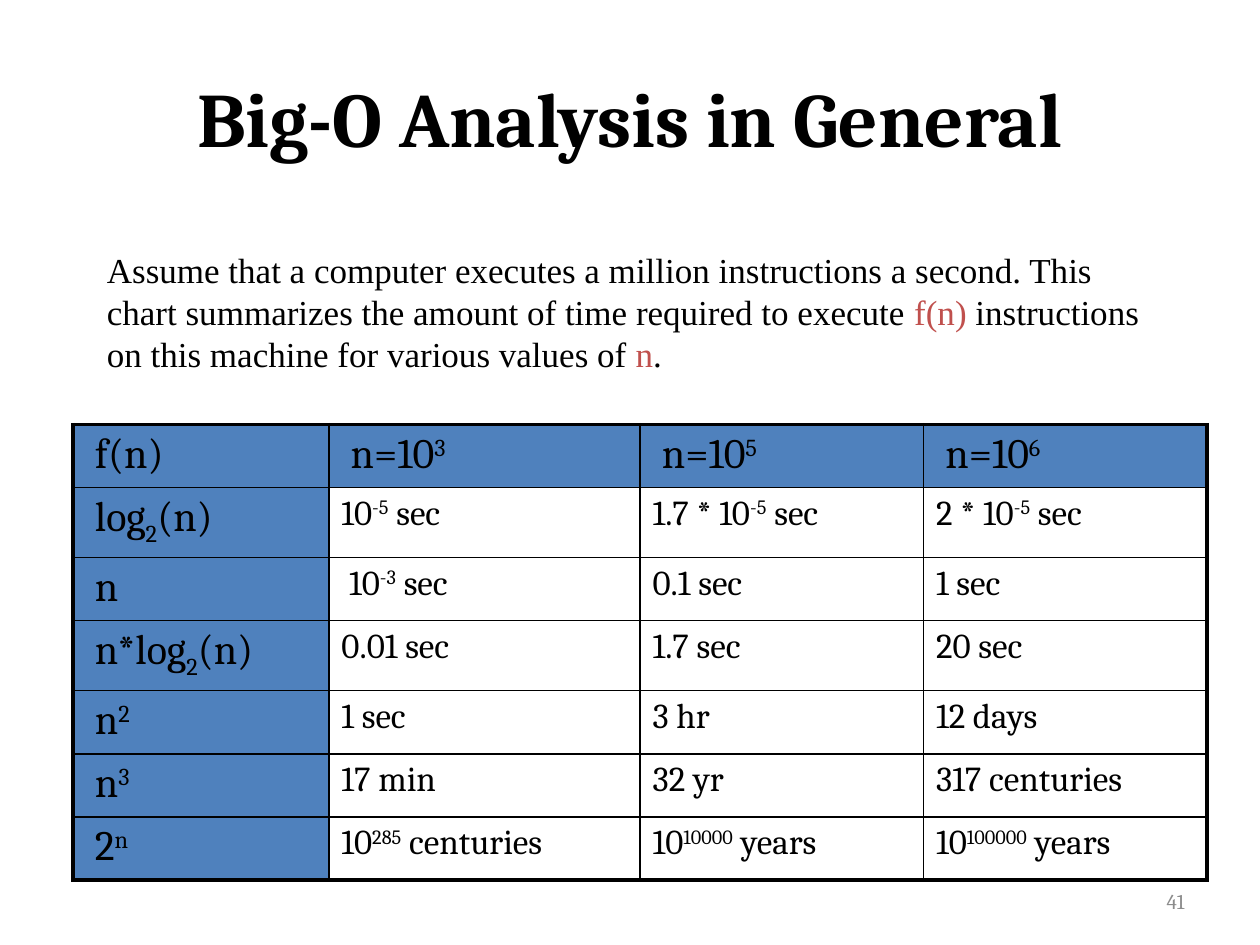
from dataclasses import dataclass
from typing import NamedTuple

from lxml.etree import SubElement
from pptx import Presentation
from pptx.dml.color import RGBColor as Color
from pptx.enum.text import MSO_ANCHOR as Anchor, PP_ALIGN as Align
from pptx.oxml.ns import qn
from pptx.util import Inches, Pt


@dataclass(frozen=True)
class Theme:
    heading_font: str = "Cambria"
    body_font: str = "Times New Roman"
    ink: str = "000000"
    accent: str = "C0504D"
    muted: str = "8C8C8C"
    header_fill: str = "4F81BD"
    title_size: int = 44
    header_size: int = 24
    body_size: int = 20
    number_size: int = 12
    inner_line: float = 1
    outer_line: float = 2.25


class Span(NamedTuple):
    text: str
    size: int
    color: str
    font: str
    bold: bool = False
    baseline: int = 0


class TextBlock(NamedTuple):
    left: float
    top: float
    width: float
    height: float
    spans: list[Span]
    align: Align = Align.LEFT
    anchor: Anchor = Anchor.TOP
    space_before: int = 0


THEME = Theme()

# A part between bars that starts with ^ is raised, one with _ is lowered.
BASELINES = {"^": 30, "_": -25}
ROWS = [
    [" f(n)", " n=10|^3", " n=10|^5", " n=10|^6"],
    [" log|_2|(n)", "10|^-5| sec", "1.7 * 10|^-5| sec", "2 * 10|^-5| sec"],
    [" n", " 10|^-3| sec", "0.1 sec", "1 sec"],
    [" n*log|_2|(n)", "0.01 sec", "1.7 sec", "20 sec"],
    [" n|^2", "1 sec", "3 hr", "12 days"],
    [" n|^3", "17 min", "32 yr", "317 centuries"],
    [" 2|^n", "10|^285| centuries", "10|^10000| years", "10|^100000| years"],
]
COLUMN_WIDTHS = [2.03, 2.47, 2.25, 2.25]
ROW_HEIGHT, SUBSCRIPT_ROW_HEIGHT = 0.48, 0.53


def fill_para(para, spans: list[Span], space_before: int = 0) -> None:
    """Write the spans, with space before as a percentage of the line."""
    if space_before:
        spacing = SubElement(para._p.get_or_add_pPr(), qn("a:spcBef"))
        SubElement(spacing, qn("a:spcPct"), val=str(space_before * 1000))
    for span in spans:
        run = para.add_run()
        run.text = span.text
        formats = {"size": Pt(span.size), "name": span.font, "bold": span.bold}
        for name, value in formats.items():
            setattr(run.font, name, value)
        run.font.color.rgb = Color.from_string(span.color)
        if span.baseline:
            run._r.get_or_add_rPr().set("baseline", str(span.baseline * 1000))


def add_text(page, block: TextBlock) -> None:
    box = page.shapes.add_textbox(*map(Inches, block[:4]))
    frame = box.text_frame
    formats = {"word_wrap": True, "vertical_anchor": block.anchor}
    for name, value in formats.items():
        setattr(frame, name, value)
    para = frame.paragraphs[0]
    para.alignment = block.align
    fill_para(para, block.spans, block.space_before)


def cell_spans(markup: str, size: int) -> list[Span]:
    return [
        Span(part.lstrip("^_"), size, THEME.ink, THEME.heading_font,
             baseline=BASELINES.get(part[0], 0))
        for part in markup.split("|")
    ]


def set_borders(cell, outer_edges: dict[str, bool]) -> None:
    properties = cell._tc.get_or_add_tcPr()
    for side, is_outer in outer_edges.items():
        width = THEME.outer_line if is_outer else THEME.inner_line
        line = SubElement(properties, qn(f"a:ln{side}"), w=str(Pt(width)))
        solid = SubElement(line, qn("a:solidFill"))
        SubElement(solid, qn("a:srgbClr"), val=THEME.ink)


def add_growth_table(page) -> None:
    heights = [SUBSCRIPT_ROW_HEIGHT if "_" in row[0] else ROW_HEIGHT for row in ROWS]
    last_row, last_column = len(ROWS) - 1, len(COLUMN_WIDTHS) - 1
    table = page.shapes.add_table(
        len(ROWS), len(COLUMN_WIDTHS), Inches(0.58), Inches(3.37),
        Inches(sum(COLUMN_WIDTHS)), Inches(sum(heights))).table
    table.first_row = table.horz_banding = False
    for column, width in zip(table.columns, COLUMN_WIDTHS):
        column.width = Inches(width)
    for row, height in zip(table.rows, heights):
        row.height = Inches(height)

    for i, row in enumerate(ROWS):
        for j, markup in enumerate(row):
            cell = table.cell(i, j)
            is_header = i == 0 or j == 0
            size = THEME.header_size if is_header else THEME.body_size
            fill_para(cell.text_frame.paragraphs[0], cell_spans(markup, size), 20)
            set_borders(cell, {"L": j == 0, "R": j == last_column,
                               "T": i == 0, "B": i == last_row})
            if is_header:
                cell.fill.solid()
                cell.fill.fore_color.rgb = Color.from_string(THEME.header_fill)
            else:
                cell.fill.background()


def main() -> None:
    deck = Presentation()
    deck.slide_width, deck.slide_height = Inches(10), Inches(7.5)
    page = deck.slides.add_slide(deck.slide_layouts[6])

    # Title
    add_text(page, TextBlock(
        0.5, 0.3, 9, 1.25,
        [Span("Big-O Analysis in General", THEME.title_size, THEME.ink,
              THEME.heading_font, bold=True)],
        Align.CENTER, Anchor.MIDDLE))

    # Running times
    add_growth_table(page)

    # Page number
    add_text(page, TextBlock(
        7.17, 6.95, 2.33, 0.4,
        [Span("41", THEME.number_size, THEME.muted, THEME.heading_font)],
        Align.RIGHT, Anchor.MIDDLE))

    # Introduction, with the symbols in the accent colour
    introduction = [
        ("Assume that a computer executes a million instructions a second. "
         "This chart summarizes the amount of time required to execute ", THEME.ink),
        ("f(n)", THEME.accent),
        (" instructions on this machine for various values of ", THEME.ink),
        ("n", THEME.accent),
        (".", THEME.ink),
    ]
    add_text(page, TextBlock(
        0.75, 1.92, 8.5, 1.1,
        [Span(text, THEME.body_size, color, THEME.body_font)
         for text, color in introduction],
        space_before=50))

    deck.save("out.pptx")


if __name__ == "__main__":
    main()
